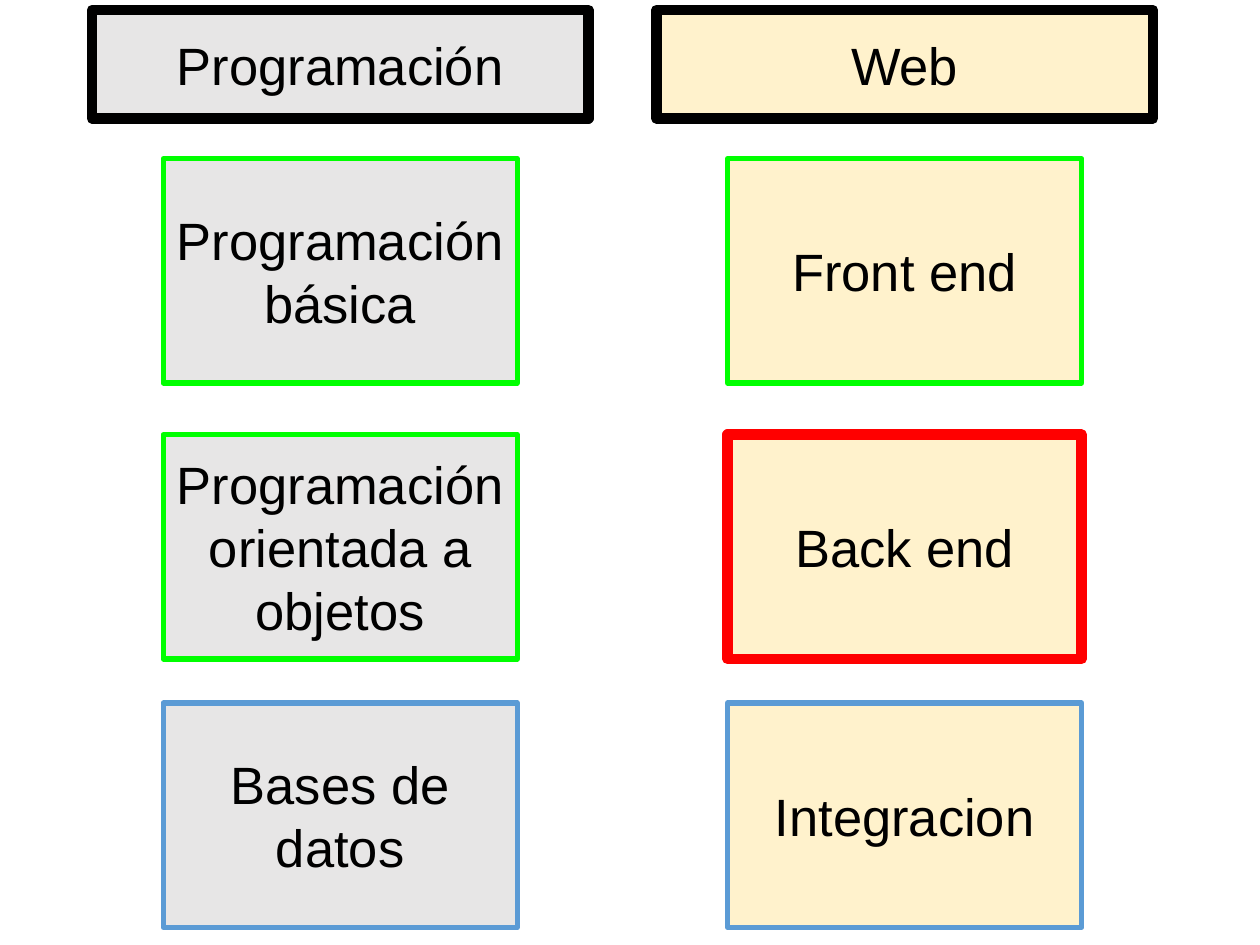
from lxml.etree import SubElement
from pptx import Presentation
from pptx.dml.color import RGBColor
from pptx.enum.shapes import MSO_SHAPE
from pptx.enum.text import MSO_ANCHOR, PP_ALIGN
from pptx.oxml.ns import qn
from pptx.util import Inches, Pt

BLACK = RGBColor(0x00, 0x00, 0x00)
GREEN = RGBColor(0x00, 0xFF, 0x00)
RED = RGBColor(0xFF, 0x00, 0x00)
BLUE = RGBColor(0x5B, 0x9B, 0xD5)
GRAY = RGBColor(0xE7, 0xE6, 0xE6)
CREAM = RGBColor(0xFF, 0xF2, 0xCC)

THIN, THICK = 3, 6
HEADER_TOP, HEADER_SIZE = 0.08, (3.94, 0.86)
TOPIC_TOPS, TOPIC_SIZE = (1.26, 3.45, 5.58), (2.81, 1.78)

# Centre, fill, header, and topics as (text, line colour, line width)
COLUMNS = [
    (2.7, GRAY, "Programación", [
        ("Programación básica", GREEN, THIN),
        ("Programación orientada a objetos", GREEN, THIN),
        ("Bases de datos", BLUE, THIN),
    ]),
    (7.18, CREAM, "Web", [
        ("Front end", GREEN, THIN),
        ("Back end", RED, THICK),
        ("Integracion", BLUE, THIN),
    ]),
]


def set_outline(shape, color, width):
    """Draw a solid outline with rounded corners."""
    shape.line.color.rgb = color
    shape.line.width = Pt(width)
    outline = shape.line._get_or_add_ln()
    SubElement(outline, qn("a:round"))


def add_box(slide, text, center, top, size, fill, line_color, line_width):
    width, height = size
    shape = slide.shapes.add_shape(
        MSO_SHAPE.RECTANGLE, Inches(center - width / 2), Inches(top),
        Inches(width), Inches(height))
    shape.shadow.inherit = False
    shape.fill.solid()
    shape.fill.fore_color.rgb = fill
    set_outline(shape, line_color, line_width)

    frame = shape.text_frame
    frame.word_wrap = True
    frame.vertical_anchor = MSO_ANCHOR.MIDDLE
    frame.margin_left = frame.margin_right = Inches(0.1)
    frame.margin_top = frame.margin_bottom = Inches(0.1)
    paragraph = frame.paragraphs[0]
    paragraph.alignment = PP_ALIGN.CENTER
    run = paragraph.add_run()
    run.text = text
    run.font.name = "Arial"
    run.font.size = Pt(30)
    run.font.color.rgb = BLACK


def add_column(slide, center, fill, header, topics):
    add_box(slide, header, center, HEADER_TOP, HEADER_SIZE, fill, BLACK, THICK)
    for top, (text, line_color, line_width) in zip(TOPIC_TOPS, topics):
        add_box(slide, text, center, top, TOPIC_SIZE, fill, line_color, line_width)


def main():
    presentation = Presentation()
    presentation.slide_width = Inches(10)
    presentation.slide_height = Inches(7.5)
    slide = presentation.slides.add_slide(presentation.slide_layouts[6])
    for column in COLUMNS:
        add_column(slide, *column)
    presentation.save("out.pptx")


if __name__ == "__main__":
    main()
